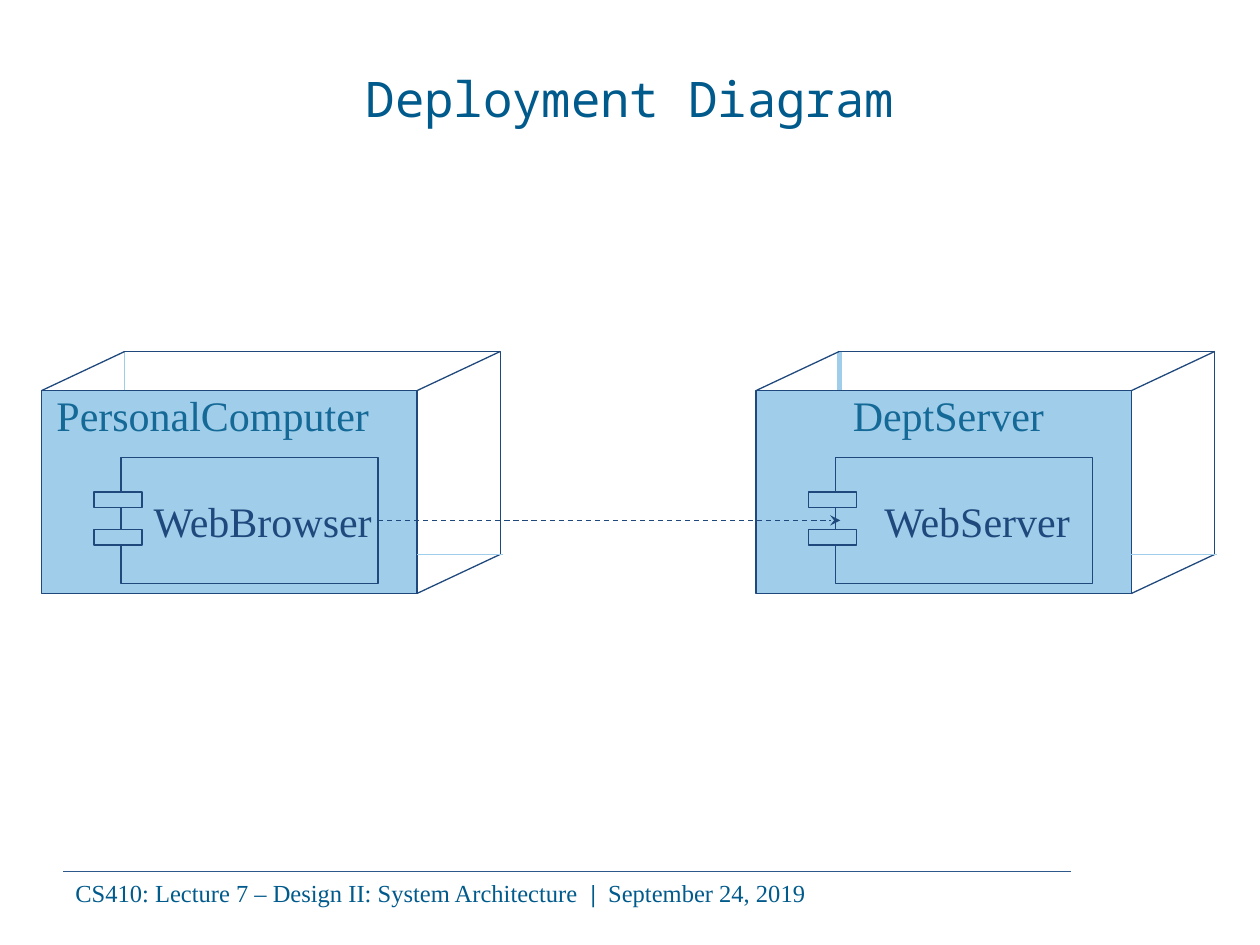
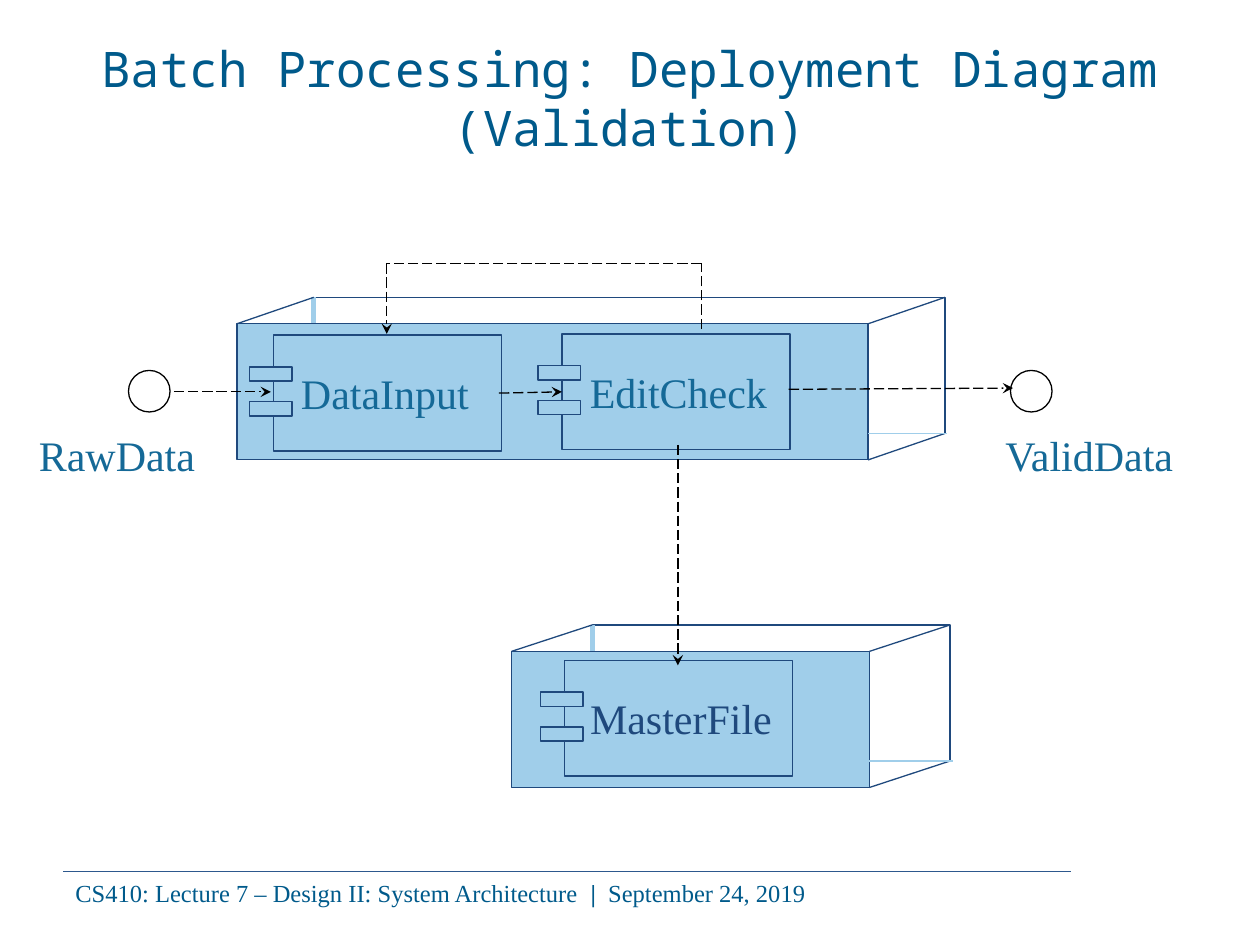
"""Two UML deployment diagrams: a web client and a batch validation."""
from lxml import etree
from pptx import Presentation, util as u
from pptx.dml.color import RGBColor
from pptx.enum import dml, shapes, text
from pptx.oxml import ns

COLUMNS, ROWS = 10, 7.5
CELL = u.Inches(1)
TITLE_BLUE, FOOTER_RULE = "005A8B", "2D588D"
EDGE, FACE, LABEL, FLOW = "1F497D", "A0CEEA", "156997", "000000"
SERIF, MONO = "Times New Roman", "Noto Sans Mono"
LEFT, CENTER = text.PP_ALIGN.LEFT, text.PP_ALIGN.CENTER
BOX, CIRCLE = shapes.MSO_SHAPE.RECTANGLE, shapes.MSO_SHAPE.OVAL
DASH, LONG_DASH = dml.MSO_LINE.DASH, dml.MSO_LINE.LONG_DASH


def cells(*counts):
    """Turn counts of grid cells into lengths."""
    return [round(count * CELL) for count in counts]


def color(hex_code):
    """Turn a hex string into a colour."""
    return RGBColor.from_string(hex_code)


def set_font(font, size, face, hex_code):
    """Set size, typeface and colour of a font."""
    font.size, font.name = u.Pt(size), face
    font.color.rgb = color(hex_code)


def outline(slide, kind, left, top, width, height, fill=None, edge=EDGE):
    """Draw an outlined shape, with a fill if one is given."""
    figure = slide.shapes.add_shape(kind, *cells(left, top, width, height))
    figure.shadow.inherit = False
    figure.line.color.rgb = color(edge)
    figure.line.width = u.Pt(0.75)
    if fill:
        figure.fill.solid()
        figure.fill.fore_color.rgb = color(fill)
    else:
        figure.fill.background()


def line(slide, start, end, hex_code=EDGE, weight=0.75, dash=None, arrow=False):
    """Draw a straight line, dashed or with an arrowhead on request."""
    stroke = slide.shapes.add_connector(
        shapes.MSO_CONNECTOR.STRAIGHT, *cells(*start, *end))
    stroke.line.color.rgb = color(hex_code)
    stroke.line.width = u.Pt(weight)
    if dash:
        stroke.line.dash_style = dash
    if arrow:
        pen = stroke.element.spPr.find(ns.qn("a:ln"))
        etree.SubElement(pen, ns.qn("a:tailEnd"), type="stealth")
    etree.SubElement(stroke.element.spPr, ns.qn("a:effectLst"))


def flow(slide, *points):
    """Draw a dashed path through the points, ending in an arrowhead."""
    for step, (start, end) in enumerate(zip(points, points[1:]), 2):
        line(slide, start, end, FLOW, dash=LONG_DASH, arrow=step == len(points))


def label(slide, words, left, top, width, hex_code=LABEL, align=LEFT):
    """Write one line of diagram text."""
    frame = slide.shapes.add_textbox(*cells(left, top, width, 0.5)).text_frame
    frame.word_wrap = True
    caption = frame.paragraphs[0]
    caption.text, caption.alignment = words, align
    set_font(caption.font, 24, SERIF, hex_code)


def node(slide, left, top, width, height, depth, rise, hidden_weight=3):
    """Draw a see-through box with a filled front and pale hidden edges."""
    right, bottom = left + width, top + height
    back_left, back_right = left + depth, right + depth
    back_top, back_bottom = top - rise, bottom - rise
    outline(slide, BOX, back_left, back_top, width, height)
    line(slide, (back_left, back_top), (back_left, top + 0.3 * rise),
         FACE, hidden_weight)
    outline(slide, BOX, left, top, width, height, FACE)
    for x, y in ((right, bottom), (right, top), (left, top)):
        line(slide, (x + depth, y - rise), (x, y))
    line(slide, (right, back_bottom), (back_right + 0.02, back_bottom), FACE, 1)


def component(slide, words, left, top, width, height, inset, label_width,
              hex_code=EDGE, align=CENTER):
    """Draw a component with its two tabs and its name."""
    outline(slide, BOX, left, top, width, height)
    for share in (0.275, 0.575):
        outline(slide, BOX, left - 0.105 * width, top + share * height,
                0.187 * width, 0.122 * height, FACE)
    label(slide, words, left + inset, top + height / 2 - 0.25, label_width,
          hex_code, align)


def data_store(slide, words, left, label_left):
    """Draw the circle of an outside data set and its name."""
    outline(slide, CIRCLE, left, 2.94, 0.33, 0.33, edge=FLOW)
    label(slide, words, label_left, 3.36, 1.92)


def footer(slide):
    """Draw the footer rule and the course line."""
    line(slide, (0.5, 6.92), (8.5, 6.92), FOOTER_RULE, 0.5)
    frame = slide.shapes.add_textbox(*cells(0.5, 6.92, 8.17, 0.34)).text_frame
    frame.word_wrap = True
    course = frame.paragraphs[0]
    set_font(course.font, 14, SERIF, TITLE_BLUE)
    for words, bold in (
            ("CS410: Lecture 7 – Design II: System Architecture  ", False),
            ("|  ", True), ("September 24, 2019", False)):
        part = course.add_run()
        part.text, part.font.bold = words, bold


def titled_slide(deck, words):
    """Add a slide with the shared title style and footer."""
    slide = deck.slides.add_slide(deck.slide_layouts[5])
    title = slide.shapes.title
    title.left, title.top, title.width, title.height = cells(0.5, 0.3, 9, 0.95)
    frame = title.text_frame
    frame.text = words
    frame.auto_size = text.MSO_AUTO_SIZE.NONE
    frame.vertical_anchor = text.MSO_ANCHOR.MIDDLE
    frame.paragraphs[0].alignment = CENTER
    set_font(frame.paragraphs[0].font, 28, MONO, TITLE_BLUE)
    footer(slide)
    return slide


def web_deployment(deck):
    """Show a browser on a computer calling a department server."""
    slide = titled_slide(deck, "Deployment Diagram")
    for left, machine, name_left, program, hidden_weight in (
            (0.33, "PersonalComputer", 0.35, "WebBrowser", 0.75),
            (6, "DeptServer", 6.67, "WebServer", 3)):
        node(slide, left, 3.1, 2.98, 1.61, 0.66, 0.31, hidden_weight)
        component(slide, program, left + 0.63, 3.63, 2.04, 1, 0.04, 2.17)
        label(slide, machine, name_left, 3.04, 2.73)
    line(slide, (3, 4.13), (6.67, 4.13), dash=DASH, arrow=True)


def batch_deployment(deck):
    """Show raw data being checked into valid data and a master file."""
    slide = titled_slide(
        deck, "Batch Processing: Deployment Diagram (Validation)")
    size = (1.81, 0.92)
    node(slide, 4.06, 5.17, 2.84, 1.08, 0.64, 0.21)
    component(slide, "MasterFile", 4.48, 5.24, *size, 0.09, 1.67)
    node(slide, 1.88, 2.57, 5.01, 1.08, 0.61, 0.21)
    component(slide, "EditCheck", 4.46, 2.65, *size, 0.09, 1.67, LABEL)
    component(slide, "DataInput", 2.17, 2.66, *size, 0.12, 1.65, LABEL, LEFT)
    data_store(slide, "RawData", 1.02, 0.21)
    data_store(slide, "ValidData", 8.02, 7.88)
    flow(slide, (1.38, 3.11), (2.15, 3.11))
    flow(slide, (3.96, 3.12), (4.46, 3.11))
    flow(slide, (6.26, 3.09), (8.04, 3.08))
    flow(slide, (5.38, 3.53), (5.38, 5.28))
    flow(slide, (5.57, 2.61), (5.57, 2.09), (3.07, 2.09), (3.07, 2.65))


def main():
    """Build and save the deck."""
    deck = Presentation()
    deck.slide_width, deck.slide_height = cells(COLUMNS, ROWS)
    web_deployment(deck)
    batch_deployment(deck)
    deck.save("out.pptx")


if __name__ == "__main__":
    main()
